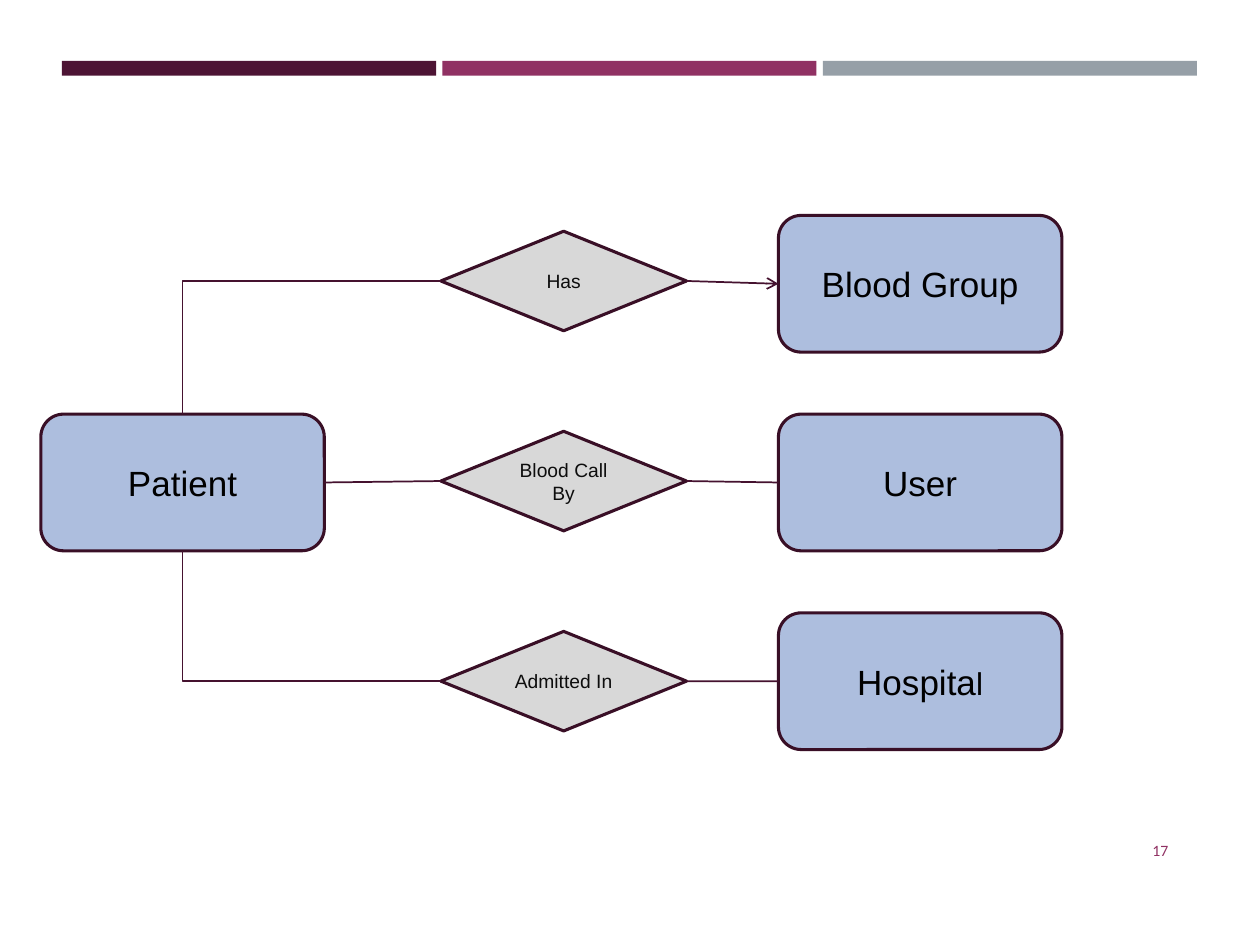
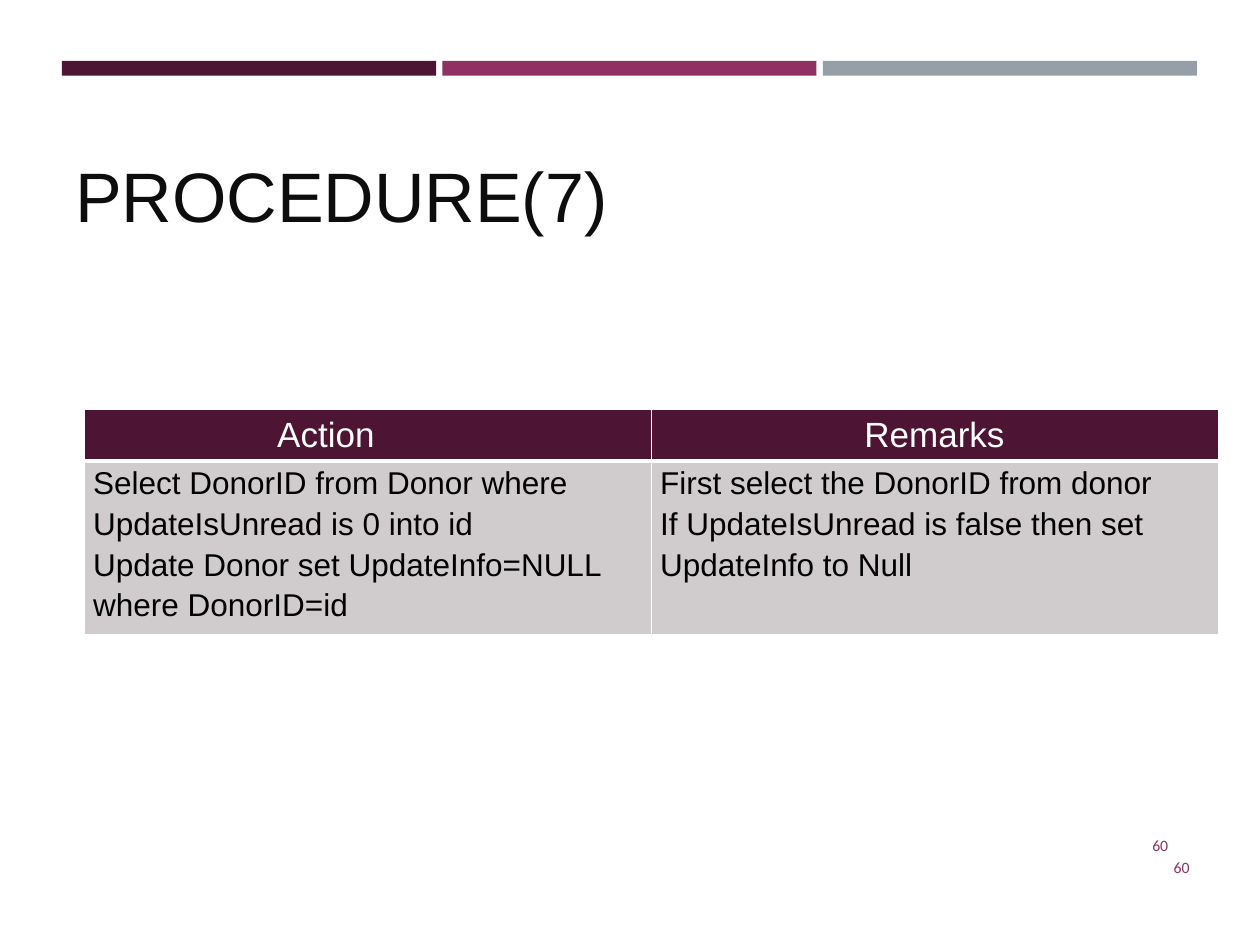
from typing import NamedTuple

from lxml import etree
from pptx import Presentation
from pptx.dml.color import RGBColor
from pptx.enum.shapes import MSO_CONNECTOR, MSO_SHAPE
from pptx.enum.text import MSO_ANCHOR, PP_ALIGN
from pptx.oxml.ns import qn
from pptx.util import Inches, Pt

COLORS = {
    "plum": "4D1434",
    "magenta": "903163",
    "slate": "969FA7",
    "outline": "390F26",
    "link": "45122F",
    "entity": "ADBEDE",
    "relation": "D8D8D8",
    "body": "D0CCCE",
    "ink": "0D0D0D",
    "black": "000000",
    "white": "FFFFFF",
}
RECT, ENTITY, RELATION = MSO_SHAPE.RECTANGLE, MSO_SHAPE.ROUNDED_RECTANGLE, MSO_SHAPE.DIAMOND
STRAIGHT, ELBOW = MSO_CONNECTOR.STRAIGHT, MSO_CONNECTOR.ELBOW
LEFT, CENTER, RIGHT = PP_ALIGN.LEFT, PP_ALIGN.CENTER, PP_ALIGN.RIGHT
TOP, MIDDLE, BOTTOM = MSO_ANCHOR.TOP, MSO_ANCHOR.MIDDLE, MSO_ANCHOR.BOTTOM
SITE_TOP, SITE_LEFT, SITE_BOTTOM, SITE_RIGHT = range(4)

WIDTH, HEIGHT = Inches(10), Inches(7.5)
COL, ROW = WIDTH / 100, HEIGHT / 75


class Box(NamedTuple):
    """A region measured in grid columns and rows."""

    left: float
    top: float
    width: float
    height: float

    def place(self, left, top, width, height):
        """Return a box given relative to this one."""
        return Box(self.left + left, self.top + top, width, height)

    def emu(self):
        """Return left, top, width and height as slide lengths."""
        return (round(self.left * COL), round(self.top * ROW),
                round(self.width * COL), round(self.height * ROW))


PAGE = Box(0, 0, 100, 75)


def rgb(name):
    """Look up a palette colour."""
    return RGBColor.from_string(COLORS[name])


def write(frame, text, size=20, color="black", font="Arial", align=LEFT,
          anchor=MIDDLE, spacing=None, indent=0, append=False):
    """Write one paragraph per line of text, or append a run to the last one."""
    frame.word_wrap = True
    frame.vertical_anchor = anchor
    for index, line in enumerate(text.split("\n")):
        paragraph = frame.add_paragraph() if index else frame.paragraphs[-1]
        if not append:
            paragraph.alignment = align
            paragraph.line_spacing = spacing
            if indent:
                properties = paragraph._p.get_or_add_pPr()
                properties.set("marL", str(Inches(indent)))
                properties.set("indent", "0")
        run = paragraph.add_run()
        run.text = line
        run.font.size, run.font.name, run.font.bold = Pt(size), font, False
        run.font.color.rgb = rgb(color)


def add_label(slide, box, text, **style):
    """Add a text box."""
    write(slide.shapes.add_textbox(*box.emu()).text_frame, text, **style)


def add_figure(slide, box, kind, fill, outline=None):
    """Add a filled preset shape."""
    figure = slide.shapes.add_shape(kind, *box.emu())
    figure.shadow.inherit = False
    figure.fill.solid()
    figure.fill.fore_color.rgb = rgb(fill)
    if outline:
        figure.line.color.rgb = rgb(outline)
        figure.line.width = Pt(1.75)
    else:
        figure.line.fill.background()
    return figure


def add_entity(slide, box, name):
    """Add a named entity."""
    entity = add_figure(slide, box, ENTITY, "entity", "outline")
    write(entity.text_frame, name, align=CENTER)
    return entity


def add_relation(slide, box, name):
    """Add a named relation."""
    relation = add_figure(slide, box, RELATION, "relation", "outline")
    write(relation.text_frame, name, size=11, color="ink", align=CENTER)
    return relation


def add_link(slide, start, start_site, end, end_site, kind=STRAIGHT, arrow=False):
    """Connect two figures, with a single corner if the link is an elbow."""
    link = slide.shapes.add_connector(kind, 0, 0, 0, 0)
    link.begin_connect(start, start_site)
    link.end_connect(end, end_site)
    link.line.color.rgb = rgb("link")
    link.line.width = Pt(1)
    properties = link._element.spPr
    if kind == ELBOW:
        properties.find(qn("a:prstGeom")).set("prst", "bentConnector2")
    if arrow:
        etree.SubElement(properties.find(qn("a:ln")), qn("a:tailEnd"), type="arrow")
    etree.SubElement(properties, qn("a:effectLst"))


def add_bands(slide, box):
    """Fill the box with three coloured bands."""
    gap = 0.5
    width = (box.width - 2 * gap) / 3
    for index, color in enumerate(("plum", "magenta", "slate")):
        band = box.place(index * (width + gap), 0, width, box.height)
        add_figure(slide, band, RECT, color)


def add_page_number(slide, box, number):
    """Add a right-aligned page number."""
    add_label(slide, box, number, size=9, color="magenta", font="Calibri", align=RIGHT)


def start_slide(deck):
    """Add a blank slide with the shared bands."""
    slide = deck.slides.add_slide(deck.slide_layouts[6])
    add_bands(slide, PAGE.place(4.92, 4.84, 90.08, 1.16))
    return slide


def add_relation_diagram(slide, box):
    """Draw Patient and its relations to three other entities."""
    entity_size, relation_size = (22.5, 10.85), (19.5, 7.9)
    entity_step, relation_step = 15.77, 15.88
    patient = add_entity(slide, box.place(0, entity_step, *entity_size), "Patient")
    rows = (
        ("Has", "Blood Group", SITE_TOP),
        ("Blood Call By", "User", SITE_RIGHT),
        ("Admitted In", "Hospita", SITE_BOTTOM),
    )
    for index, (verb, name, patient_site) in enumerate(rows):
        target = add_entity(
            slide, box.place(box.width - entity_size[0], index * entity_step, *entity_size), name)
        relation = add_relation(
            slide, box.place(31.75, 1.25 + index * relation_step, *relation_size), verb)
        add_link(slide, relation, SITE_LEFT, patient, patient_site,
                 kind=STRAIGHT if patient_site == SITE_RIGHT else ELBOW)
        add_link(slide, relation, SITE_RIGHT, target, SITE_LEFT, arrow=verb == "Has")
    write(target.text_frame, "l", size=18, append=True)


def set_borders(cell, **widths):
    """Give the cell white borders with the given widths in points."""
    properties = cell._tc.get_or_add_tcPr()
    for index, (side, width) in enumerate(widths.items()):
        border = etree.Element(qn(f"a:ln{side}"), w=str(Pt(width)))
        fill = etree.SubElement(border, qn("a:solidFill"))
        etree.SubElement(fill, qn("a:srgbClr"), val=COLORS["white"])
        properties.insert(index, border)


def fill_cell(cell, text, fill, bottom, **style):
    """Fill, frame and write one table cell."""
    cell.margin_left = cell.margin_right = Inches(0.07)
    cell.margin_top = cell.margin_bottom = 0
    cell.fill.solid()
    cell.fill.fore_color.rgb = rgb(fill)
    set_borders(cell, L=1, R=1, T=1, B=bottom)
    cell.vertical_anchor = TOP
    write(cell.text_frame, text, anchor=TOP, spacing=1.15, **style)


def add_steps_table(slide, box):
    """Add the table of actions and remarks."""
    table = slide.shapes.add_table(2, 2, *box.emu()).table
    table.horz_banding = False
    header_height = 4.1
    for row, height in zip(table.rows, (header_height, box.height - header_height)):
        row.height = round(height * ROW)
    columns = (
        ("Action", 1.46,
         "Select DonorID from Donor where UpdateIsUnread is 0 into id\n"
         "Update Donor set UpdateInfo=NULL where DonorID=id"),
        ("Remarks", 1.62,
         "First select the DonorID from donor\n"
         "If UpdateIsUnread is false then set UpdateInfo to Null"),
    )
    for index, (heading, indent, steps) in enumerate(columns):
        table.columns[index].width = round(box.width / len(columns) * COL)
        fill_cell(table.cell(0, index), heading, "plum", 3, color="white", indent=indent)
        fill_cell(table.cell(1, index), steps, "body", 1, size=18)


def build_relations_slide(deck):
    """Build the entity relation slide."""
    slide = start_slide(deck)
    add_page_number(slide, PAGE.place(83.8, 65.7, 9.9, 3.5), "17")
    add_relation_diagram(slide, PAGE.place(3.24, 17.1, 81.04, 42.4))


def build_procedure_slide(deck):
    """Build the procedure slide."""
    slide = start_slide(deck)
    for left, top in ((85.3, 65.1), (87, 66.8)):
        add_page_number(slide, PAGE.place(left, top, 8.4, 4), "60")
    add_label(slide, PAGE.place(5, 7.5, 87.4, 11.8), "PROCEDURE(7)",
              size=40, color="ink", anchor=BOTTOM)
    add_steps_table(slide, PAGE.place(6.7, 32.5, 90, 16.9))


def main():
    """Build and save the deck."""
    deck = Presentation()
    deck.slide_width, deck.slide_height = WIDTH, HEIGHT
    build_relations_slide(deck)
    build_procedure_slide(deck)
    deck.save("out.pptx")


if __name__ == "__main__":
    main()
